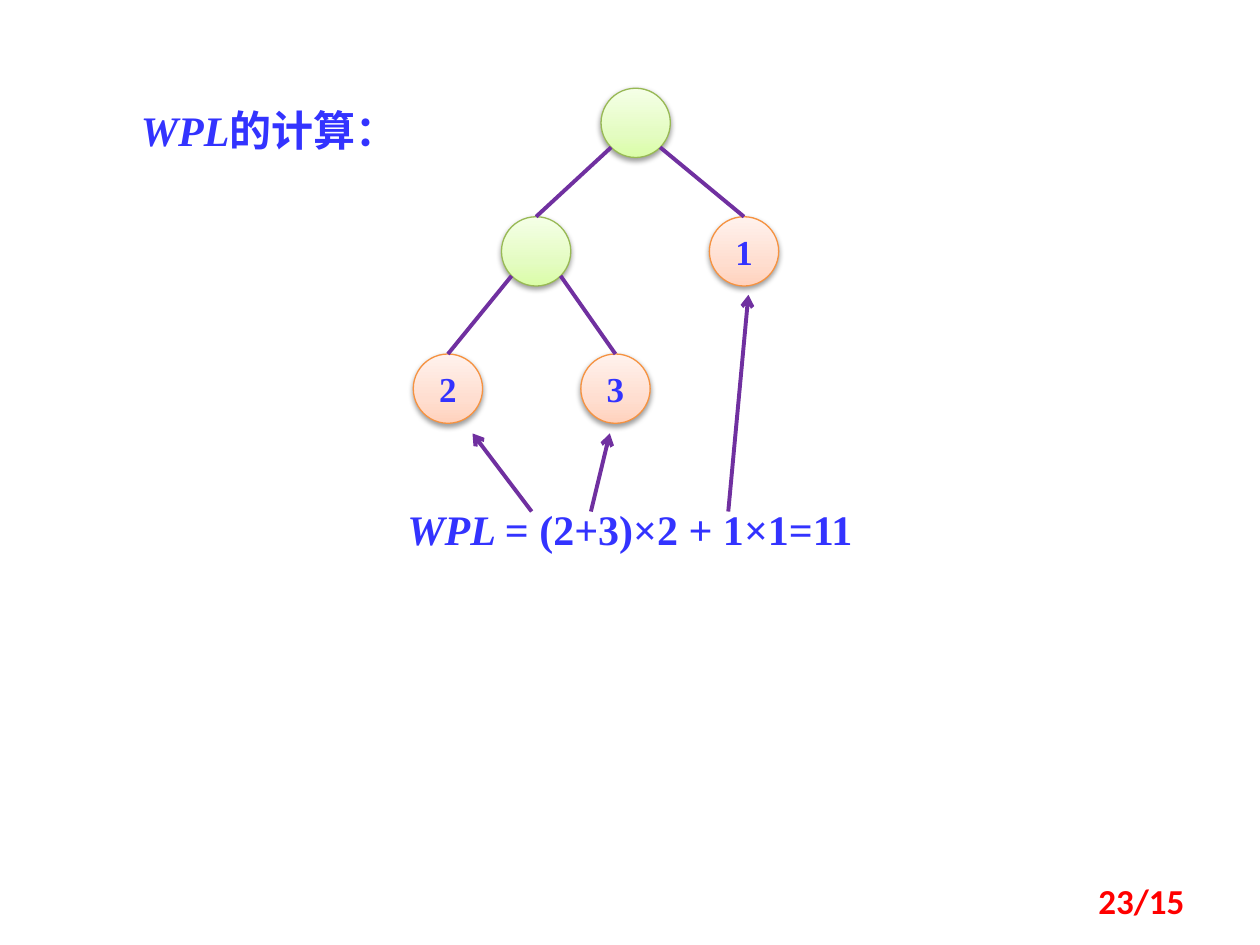
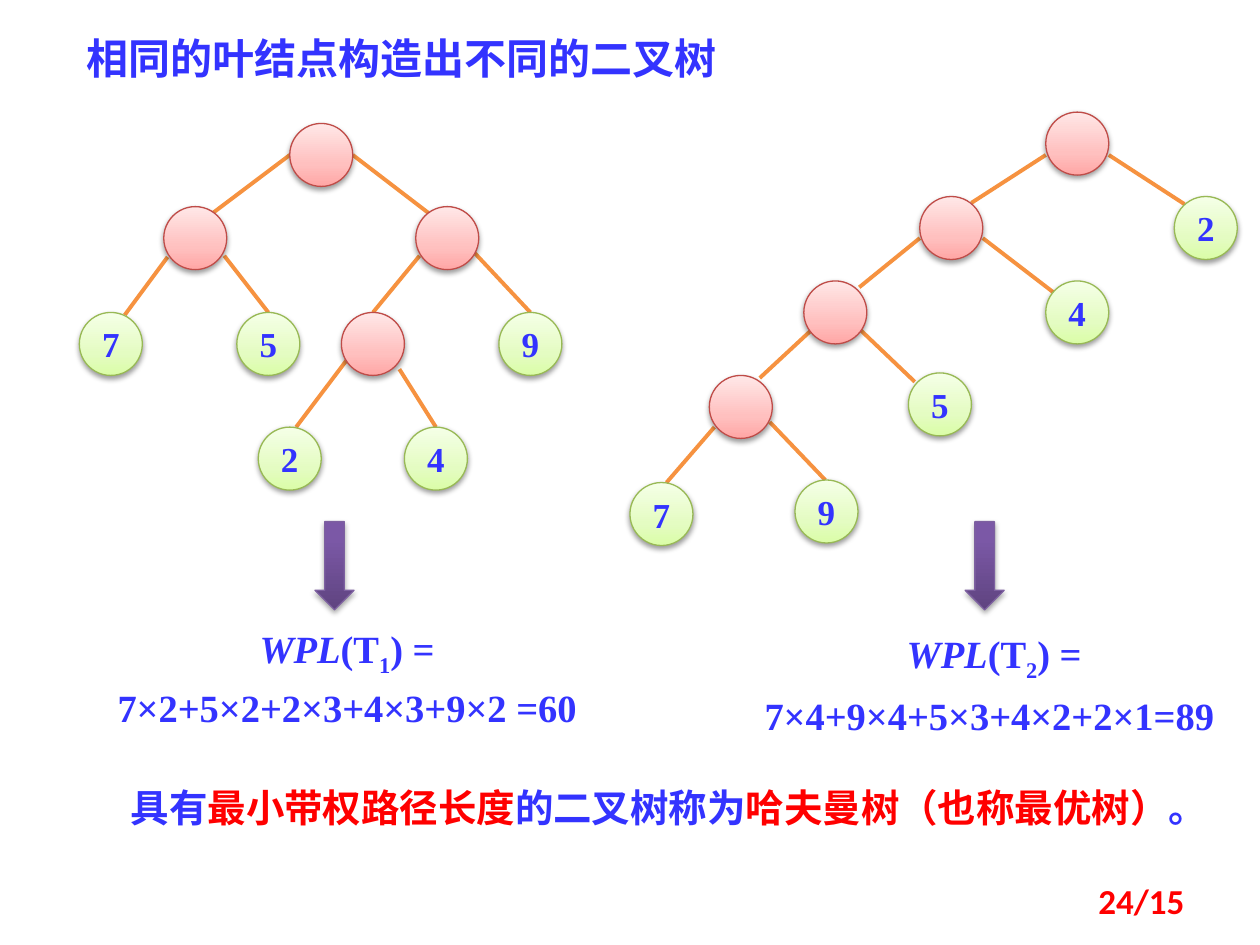
from dataclasses import dataclass
from math import sqrt

from lxml import etree
from pptx import Presentation, util as u
from pptx.dml.color import RGBColor
from pptx.enum import shapes, text
from pptx.oxml.ns import qn

COLUMNS, ROWS = 100, 75


@dataclass(frozen=True)
class Look:
    """Gradient stops run from the bottom of a shape to its top."""
    stops: tuple
    line: str
    shadow_alpha: int = 38
    shadow_distance: float = 1.6


@dataclass(frozen=True)
class Theme:
    blue: str = "3333FF"
    red: str = "FF0000"
    purple: str = "7030A0"
    orange: str = "F69240"
    latin: str = "Times New Roman"
    chinese: str = "Noto Sans CJK SC"
    footer_font: str = "Calibri"
    title_size: int = 24
    body_size: int = 22
    label_size: int = 20
    edge_width: float = 2.25
    outline_width: float = 0.75
    green: Look = Look(((0, "DAFDA7"), (35, "E4FCC2"), (100, "F5FFE7")), "98B955")
    peach: Look = Look(((0, "FFD2BD"), (35, "FFDED0"), (100, "FFF2ED")), "F69240")
    pink: Look = Look(((0, "FFA6A5"), (35, "FFC0BF"), (100, "FFE7E7")), "BF4C48")
    violet: Look = Look(((0, "5F4480"), (80, "7B58A6"), (100, "7C57A8")),
                        "7D60A0", 35, 1.8)


THEME = Theme()


def add_run(paragraph, content, size=THEME.title_size, color=THEME.blue, bold=True,
            italic=False, font=THEME.latin, baseline=None):
    """Add one formatted run of text."""
    run = paragraph.add_run()
    run.text = content
    run.font.size, run.font.name = u.Pt(size), font
    run.font.bold, run.font.italic = bold, italic
    run.font.color.rgb = RGBColor.from_string(color)
    properties = run.font._element
    etree.SubElement(properties, qn("a:ea")).set("typeface", THEME.chinese)
    if baseline:
        properties.set("baseline", str(baseline * 1000))


def add_color(parent, color, alpha=None):
    element = etree.SubElement(parent, qn("a:srgbClr"), val=color)
    if alpha:
        etree.SubElement(element, qn("a:alpha"), val=str(alpha * 1000))


class Deck:
    """Holds the theme and the slide being drawn."""

    def __init__(self, theme):
        self.theme = theme
        self.presentation = Presentation()
        self.presentation.slide_width = u.Inches(10)
        self.presentation.slide_height = u.Inches(7.5)
        self.slide = None

    def x(self, column):
        return round(self.presentation.slide_width * column / COLUMNS)

    def y(self, row):
        return round(self.presentation.slide_height * row / ROWS)

    def box(self, left, top, width, height):
        return self.x(left), self.y(top), self.x(width), self.y(height)

    def new_slide(self, page):
        self.slide = self.presentation.slides.add_slide(
            self.presentation.slide_layouts[6])
        self.text(71.7, 69.5, 23.3, 4, [[(page, dict(
            size=self.theme.label_size, color=self.theme.red,
            font=self.theme.footer_font))]],
            align=text.PP_ALIGN.RIGHT, anchor=text.MSO_ANCHOR.MIDDLE, grow=False)

    def text(self, left, top, width, height, paragraphs, align=text.PP_ALIGN.LEFT,
             anchor=text.MSO_ANCHOR.TOP, grow=True, line_spacing=None, gap=0):
        """Each paragraph is a list of (content, format) pairs."""
        frame = self.slide.shapes.add_textbox(
            *self.box(left, top, width, height)).text_frame
        frame.word_wrap = True
        frame.vertical_anchor = anchor
        if grow:
            frame.auto_size = text.MSO_AUTO_SIZE.SHAPE_TO_FIT_TEXT
        for index, runs in enumerate(paragraphs):
            paragraph = frame.add_paragraph() if index else frame.paragraphs[0]
            paragraph.alignment = align
            if line_spacing:
                paragraph.line_spacing = line_spacing
            if index and gap:
                paragraph.space_before = u.Pt(gap)
            for content, style in runs:
                add_run(paragraph, content, **style)

    def solid(self, kind, left, top, width, height, look):
        """A preset shape with a gradient, an outline and a soft shadow."""
        shape = self.slide.shapes.add_shape(kind, *self.box(left, top, width, height))
        shape.fill.gradient()
        shape.fill.gradient_angle = 90
        properties = shape.element.spPr
        stops = properties.find(qn("a:gradFill")).find(qn("a:gsLst"))
        for stop in list(stops):
            stops.remove(stop)
        for position, color in look.stops:
            add_color(etree.SubElement(stops, qn("a:gs"), pos=str(position * 1000)), color)
        shape.line.color.rgb = RGBColor.from_string(look.line)
        shape.line.width = u.Pt(self.theme.outline_width)
        shape.shadow.inherit = False
        shadow = etree.SubElement(
            properties.find(qn("a:effectLst")), qn("a:outerShdw"),
            blurRad=str(u.Pt(3.1)), dist=str(u.Pt(look.shadow_distance)),
            dir="5400000", rotWithShape="0")
        add_color(shadow, "000000", look.shadow_alpha)
        return shape

    def node(self, left, top, size, look, label=""):
        shape = self.solid(shapes.MSO_SHAPE.OVAL, left, top, size, size, look)
        if label:
            frame = shape.text_frame
            frame.word_wrap = False
            frame.vertical_anchor = text.MSO_ANCHOR.MIDDLE
            frame.paragraphs[0].alignment = text.PP_ALIGN.CENTER
            add_run(frame.paragraphs[0], label, size=self.theme.label_size)

    def line(self, x1, y1, x2, y2, color, arrow=False):
        connector = self.slide.shapes.add_connector(
            shapes.MSO_CONNECTOR.STRAIGHT, self.x(x1), self.y(y1), self.x(x2), self.y(y2))
        connector.line.color.rgb = RGBColor.from_string(color)
        connector.line.width = u.Pt(self.theme.edge_width)
        properties = connector.element.spPr
        if arrow:
            etree.SubElement(properties.find(qn("a:ln")), qn("a:tailEnd"), type="arrow")
        etree.SubElement(properties, qn("a:effectLst"))

    def tree(self, edges, inner, leaves, size=5):
        """Edges lie behind the nodes; inner nodes carry no label."""
        for edge in edges:
            self.line(*edge, self.theme.orange)
        for left, top in inner:
            self.node(left, top, size, self.theme.pink)
        for left, top, label in leaves:
            self.node(left, top, size, self.theme.green, label)

    def result(self, left, top, width, height, index, formula, **layout):
        """Formula of one tree's weighted path length."""
        plain = dict(size=self.theme.body_size)
        self.text(left, top, width, height, [
            [("WPL", dict(plain, italic=True)), ("(T", plain),
             (index, dict(plain, baseline=-25)), (") =", plain)],
            [(formula, plain)]], align=text.PP_ALIGN.CENTER, **layout)


deck = Deck(THEME)

# Slide 1: computing the weighted path length
deck.new_slide("23/15")
NODE = 5.5
small_tree = {
    "root": (47.7, 7, ""), "inner": (39.8, 17.2, ""), "one": (56.3, 17.2, "1"),
    "two": (32.8, 28.1, "2"), "three": (46.1, 28.1, "3"),
}
for left, top, label in small_tree.values():
    deck.node(left, top, NODE, THEME.peach if label else THEME.green, label)

# Each edge leaves the parent's lower diagonal and meets the child's top
reach = NODE / 2 / sqrt(2)
for parent, children in {"root": ("inner", "one"), "inner": ("two", "three")}.items():
    left, top, _ = small_tree[parent]
    for child, side in zip(children, (-1, 1)):
        child_left, child_top, _ = small_tree[child]
        deck.line(left + NODE / 2 + side * reach, top + NODE / 2 + reach,
                  child_left + NODE / 2, child_top, THEME.purple)

deck.text(10.2, 7.8, 24.2, 5, [[("WPL", dict(italic=True)), ("的计算：", {})]])
deck.text(25.8, 39.5, 48.4, 5,
          [[("WPL ", dict(italic=True)), ("= (2+3)×2 + 1×1=11", {})]],
          align=text.PP_ALIGN.CENTER)
for start, end, end_row in ((42.2, 37.5, 34.4), (46.9, 48.4, 34.4), (57.8, 59.4, 23.4)):
    deck.line(start, 40.6, end, end_row, THEME.purple, arrow=True)

# Slide 2: two trees with the same leaves
deck.new_slide("24/15")
deck.text(5.9, 2.1, 73.2, 5, [[("相同的叶结点构造出不同的二叉树", {})]])

# Balanced tree
deck.tree(
    edges=((23, 12.3, 16.9, 16.9), (28, 12.3, 34, 16.9), (13.3, 20.4, 9.9, 25),
           (17.8, 20.3, 21.3, 24.8), (33.3, 20.3, 29.6, 24.8), (37.6, 20, 42.1, 24.8),
           (27.5, 28.6, 23.5, 33.9), (31.7, 29.3, 34.6, 33.9)),
    inner=((23, 9.8), (13, 16.4), (33, 16.4), (27.1, 24.8)),
    leaves=((6.3, 24.8, "7"), (18.8, 24.8, "5"), (39.6, 24.8, "9"),
            (20.5, 33.9, "2"), (32.1, 33.9, "4")))

# Skewed tree
deck.tree(
    edges=((83, 12.3, 77.1, 16.1), (88, 12.3, 94, 16.2), (73, 18.9, 68.2, 22.8),
           (78, 18.9, 83.6, 23.2), (64.4, 26.2, 60.3, 30), (68.3, 26.2, 72.6, 30.3),
           (56.7, 33.9, 52.9, 38.3), (61.1, 33.5, 65.5, 38.1)),
    inner=((83, 8.9), (73, 15.6), (63.8, 22.3), (56.3, 29.8)),
    leaves=((93.2, 15.6, "2"), (83, 22.3, "4"), (72.1, 29.6, "5"),
            (50, 38.3, "7"), (63.1, 38.1, "9")))

# Arrows and results
for left in (25, 76.6):
    deck.solid(shapes.MSO_SHAPE.DOWN_ARROW, left, 41.4, 3.1, 7, THEME.violet)
deck.result(5.9, 49.5, 43.3, 9.1, "1", "7×2+5×2+2×3+4×3+9×2 =60", line_spacing=0.8, gap=12)
deck.result(59.4, 48.7, 39, 9.9, "2", "7×4+9×4+5×3+4×2+2×1=89 ", line_spacing=1.2)

# Conclusion, with the key terms in red
phrases = ("具有", "最小带权路径长度", "的二叉树称为", "哈夫曼树（也称最优树）", "。")
deck.text(9.4, 61.7, 89.1, 4.7, [[
    (phrase, dict(size=THEME.body_size, font=THEME.chinese,
                  color=THEME.red if index % 2 else THEME.blue))
    for index, phrase in enumerate(phrases)]])

deck.presentation.save("out.pptx")
